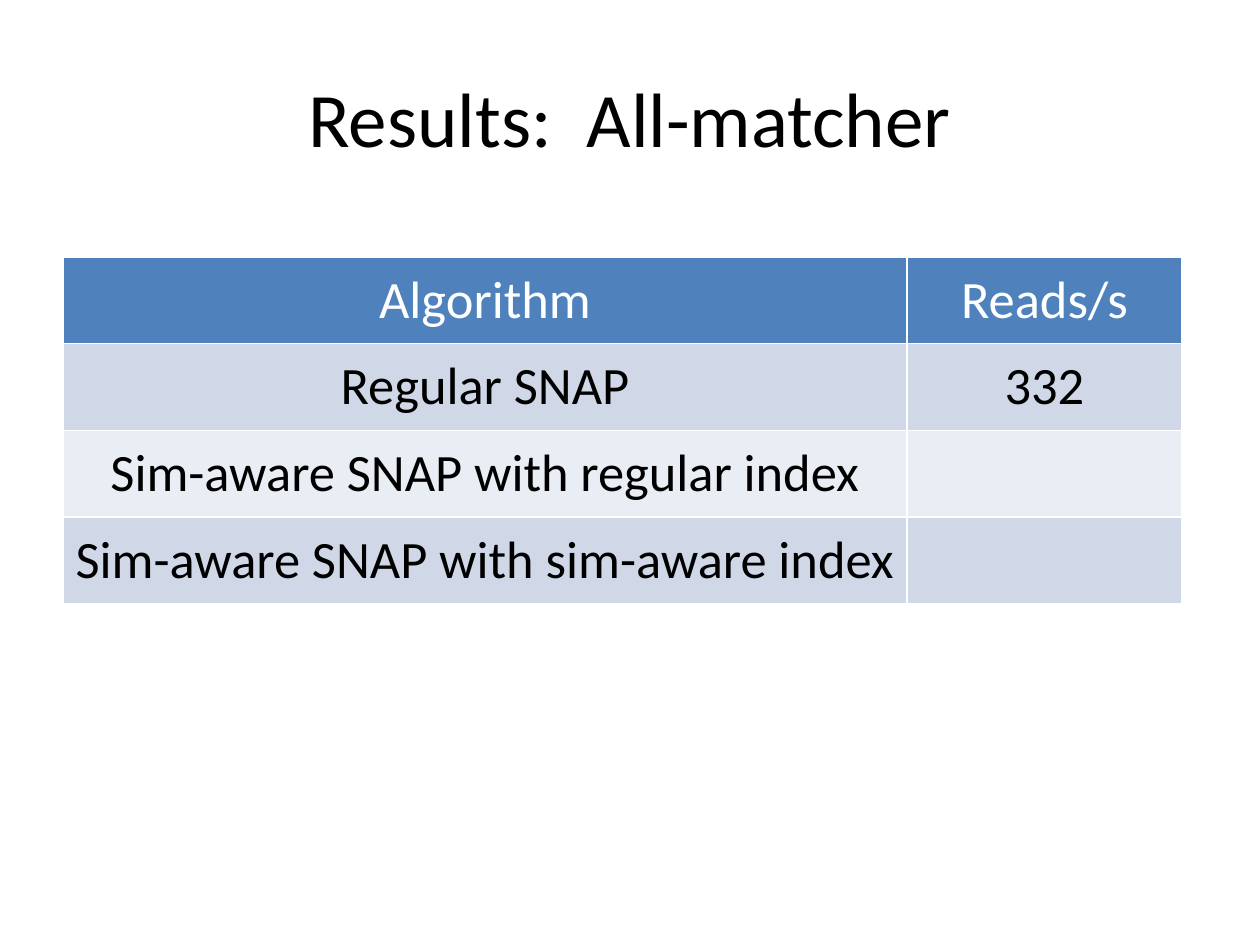
"""Build the all-matcher results slide."""
from dataclasses import dataclass

from pptx import Presentation
from pptx.dml.color import RGBColor as Rgb
from pptx.enum.text import MSO_ANCHOR as Anchor, PP_ALIGN as Align
from pptx.util import Pt


@dataclass(frozen=True)
class Theme:
    """Colours and type sizes of the slide."""
    font: str = "Calibri"
    title_size: int = 44
    cell_size: int = 30
    ink: str = "000000"
    header_ink: str = "FFFFFF"
    header_fill: str = "4F81BD"
    bands: tuple = ("D0D8E8", "E9EDF4")


THEME = Theme()
RESULTS = (
    ("Algorithm", "Reads/s"),
    ("Regular SNAP", "332"),
    ("Sim-aware SNAP with regular index", ""),
    ("Sim-aware SNAP with sim-aware index", ""),
)
COLUMN_WIDTHS = (482.4, 156.96)
ROW_HEIGHT = 49.5


def format_text(frame, wording, size, ink):
    """Write one centred paragraph in the theme font."""
    frame.text = wording
    line = frame.paragraphs[0]
    line.alignment = Align.CENTER
    line.font.name = THEME.font
    line.font.size = Pt(size)
    line.font.bold = False
    line.font.color.rgb = Rgb.from_string(ink)


def place_title(slide, wording):
    """Move and format the title placeholder."""
    title = slide.shapes.title
    title.left, title.top, title.width, title.height = map(Pt, (36, 21.6, 648, 90))
    title.text_frame.vertical_anchor = Anchor.MIDDLE
    format_text(title.text_frame, wording, THEME.title_size, THEME.ink)


def add_results(slide, results):
    """Add the banded results table under its header row."""
    table = slide.shapes.add_table(
        len(results), len(COLUMN_WIDTHS), Pt(36), Pt(146.9),
        Pt(sum(COLUMN_WIDTHS)), Pt(ROW_HEIGHT * len(results))).table
    for column, width in zip(table.columns, COLUMN_WIDTHS):
        column.width = Pt(width)
    for index, entries in enumerate(results):
        band = THEME.bands[(index - 1) % 2] if index else THEME.header_fill
        ink = THEME.ink if index else THEME.header_ink
        for cell, entry in zip(table.rows[index].cells, entries):
            cell.vertical_anchor = Anchor.MIDDLE
            cell.fill.solid()
            cell.fill.fore_color.rgb = Rgb.from_string(band)
            format_text(cell.text_frame, entry, THEME.cell_size, ink)


def main():
    """Build and save the slide."""
    deck = Presentation()
    deck.slide_width, deck.slide_height = Pt(720), Pt(540)
    slide = deck.slides.add_slide(deck.slide_layouts[5])
    place_title(slide, "Results:  All-matcher")
    add_results(slide, RESULTS)
    deck.save("out.pptx")


main()
